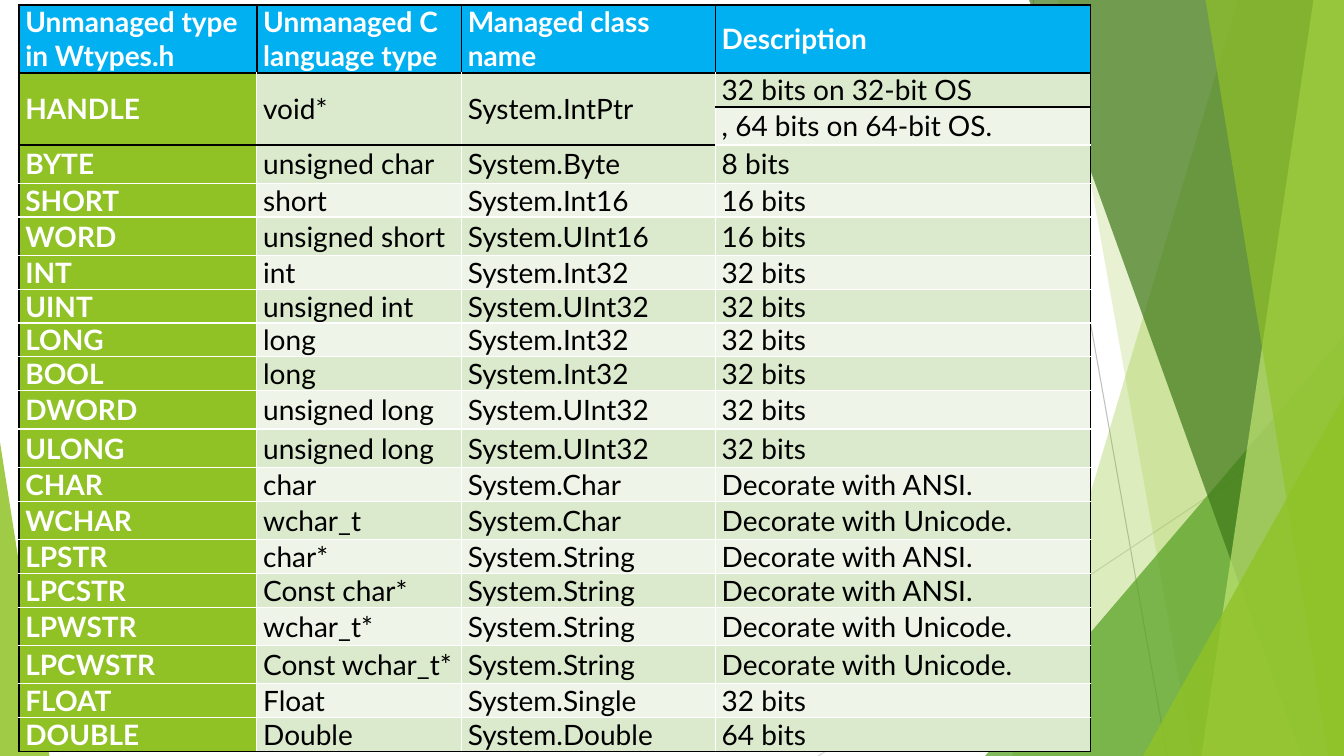
from dataclasses import dataclass

from lxml import etree
from pptx import Presentation
from pptx.dml.color import RGBColor
from pptx.enum.shapes import MSO_CONNECTOR, MSO_SHAPE
from pptx.enum.text import MSO_ANCHOR
from pptx.oxml.ns import qn
from pptx.util import Pt

STRAIGHT = MSO_CONNECTOR.STRAIGHT
TRIANGLE = MSO_SHAPE.ISOSCELES_TRIANGLE
MIDDLE = MSO_ANCHOR.MIDDLE


@dataclass(frozen=True)
class Theme:
    font: str = "Lato"
    size: float = 20
    white: str = "FFFFFF"
    black: str = "000000"
    header: str = "00B0F0"
    green: str = "90C226"
    leaf: str = "54A021"
    forest: str = "3F7819"
    lime: str = "C0E474"
    band_dark: str = "DBE9CD"
    band_light: str = "EEF4E8"
    line_dark: str = "BFBFBF"
    line_light: str = "D9D9D9"
    thin: float = 1
    thick: float = 1.5
    hairline: float = 0.75


@dataclass(frozen=True)
class Box:
    left: float
    top: float
    width: float
    height: float


THEME = Theme()
PAGE = Box(0, 0, 960, 540)
TABLE = Box(13.6, 3.6, 765.4, 532)
COLUMN_WIDTHS = (169.9, 146.2, 181.4, 267.9)
HEADER_HEIGHT, TALL_ROW, SHORT_ROW = 48.4, 27.4, 24
TALL_ROWS = {2, 3, 5, 10, 11, 13, 16, 17}
HANDLE_ROW = 1  # the first three cells span this row and the next

TYPE_ROWS = (
    ("Unmanaged type in Wtypes.h", "Unmanaged C language type",
     "Managed class name", "Description"),
    ("HANDLE", "void*", "System.IntPtr", "32 bits on 32-bit OS"),
    ("", "", "", ", 64 bits on 64-bit OS."),
    ("BYTE", "unsigned char", "System.Byte", "8 bits"),
    ("SHORT", "short", "System.Int16", "16 bits"),
    ("WORD", "unsigned short", "System.UInt16", "16 bits"),
    ("INT", "int", "System.Int32", "32 bits"),
    ("UINT", "unsigned int", "System.UInt32", "32 bits"),
    ("LONG", "long", "System.Int32", "32 bits"),
    ("BOOL", "long", "System.Int32", "32 bits"),
    ("DWORD", "unsigned long", "System.UInt32", "32 bits"),
    ("ULONG", "unsigned long", "System.UInt32", "32 bits"),
    ("CHAR", "char", "System.Char", "Decorate with ANSI."),
    ("WCHAR", "wchar_t", "System.Char", "Decorate with Unicode."),
    ("LPSTR", "char*", "System.String", "Decorate with ANSI."),
    ("LPCSTR", "Const char*", "System.String", "Decorate with ANSI."),
    ("LPWSTR", "wchar_t*", "System.String", "Decorate with Unicode."),
    ("LPCWSTR", "Const wchar_t*", "System.String", "Decorate with Unicode."),
    ("FLOAT", "Float", "System.Single", "32 bits"),
    ("DOUBLE", "Double", "System.Double", "64 bits"),
)
LAST_ROW, LAST_COLUMN = len(TYPE_ROWS) - 1, len(COLUMN_WIDTHS) - 1


def paint(shape, color, opacity):
    shape.shadow.inherit = False
    shape.fill.solid()
    shape.fill.fore_color.rgb = RGBColor.from_string(color)
    shape.line.fill.background()
    tint = shape.fill._xPr.find(".//" + qn("a:srgbClr"))
    etree.SubElement(tint, qn("a:alpha")).set("val", str(opacity * 1000))


def add_ray(page, box, start, end, color):
    ray = page.shapes.add_connector(
        STRAIGHT, Pt(box.left + start[0]), Pt(box.top + start[1]),
        Pt(box.left + end[0]), Pt(box.top + end[1]))
    ray.line.color.rgb = RGBColor.from_string(color)
    ray.line.width = Pt(THEME.hairline)
    etree.SubElement(ray._element.spPr, qn("a:effectLst"))


def add_slant(page, box, top_x, bottom_x, color, opacity):
    """Fill the area between a slanted edge and the right side of the box."""
    top, bottom = Pt(box.top), Pt(box.top + box.height)
    right = Pt(box.left + box.width)
    builder = page.shapes.build_freeform(Pt(box.left + top_x), top)
    builder.add_line_segments(
        [(right, top), (right, bottom), (Pt(box.left + bottom_x), bottom)])
    paint(builder.convert_to_shape(), color, opacity)


def add_corner(page, box, left, top, width, apex, color, opacity):
    """Add a right triangle that stands on the bottom of the box."""
    corner = page.shapes.add_shape(
        TRIANGLE, Pt(box.left + left), Pt(box.top + top),
        Pt(width), Pt(box.height - top))
    corner.adjustments[0] = apex
    paint(corner, color, opacity)


def draw_facets(page, box):
    # Fine lines
    add_ray(page, box, (738, 0), (833.8, 540), THEME.line_dark)
    add_ray(page, box, (960, 290), (584.6, 540), THEME.line_light)
    # Translucent facets, from back to front
    add_slant(page, box, 884.2, 722.9, THEME.green, 30)
    add_slant(page, box, 756, 851.8, THEME.green, 20)
    add_corner(page, box, 703.7, 239.8, 256.3, 1, THEME.leaf, 72)
    add_slant(page, box, 735.1, 929.5, THEME.forest, 70)
    add_slant(page, box, 938.2, 858.2, THEME.lime, 70)
    add_slant(page, box, 861.1, 949, THEME.green, 65)
    add_corner(page, box, 816.5, 283, 143.5, 1, THEME.green, 80)
    add_corner(page, box, 0, 316, 35.3, 0, THEME.green, 85)


def cell_edges(row, column):
    """Give the colour and width of the left, right, top and bottom edges."""
    heavy = (THEME.black, THEME.thick)
    outer, inner = (THEME.black, THEME.thin), (THEME.white, THEME.thin)
    if row == 0:
        return dict.fromkeys("LRTB", heavy)
    # The black rule steps up by one row in the description column
    rule_row = HANDLE_ROW if column == LAST_COLUMN else HANDLE_ROW + 1
    spanned = column < LAST_COLUMN and row == HANDLE_ROW
    bottom = outer if row == LAST_ROW else inner
    return {
        "L": outer if column == 0 else inner,
        "R": outer if column == LAST_COLUMN else inner,
        "T": heavy if row in (1, rule_row + 1) else inner,
        "B": heavy if row == rule_row or spanned else bottom,
    }


def draw_edges(cell, edges):
    properties = cell._tc.get_or_add_tcPr()
    for side, (color, width) in edges.items():
        edge = etree.SubElement(properties, qn("a:ln" + side))
        edge.set("w", str(Pt(width)))
        fill = etree.SubElement(edge, qn("a:solidFill"))
        etree.SubElement(fill, qn("a:srgbClr")).set("val", color)


def cell_fill(row, column):
    if row == 0:
        return THEME.header
    if column == 0:
        return THEME.green
    return THEME.band_dark if row % 2 else THEME.band_light


def fill_cell(cell, row, column):
    draw_edges(cell, cell_edges(row, column))
    cell.fill.solid()
    cell.fill.fore_color.rgb = RGBColor.from_string(cell_fill(row, column))
    cell.vertical_anchor = MIDDLE
    cell.margin_left = cell.margin_right = Pt(4.5)
    cell.margin_top = cell.margin_bottom = 0
    cell.text_frame.text = TYPE_ROWS[row][column]
    heading = row == 0 or column == 0
    for span in cell.text_frame.paragraphs[0].runs:
        span.font.name = THEME.font
        span.font.size = Pt(THEME.size)
        span.font.bold = heading
        span.font.color.rgb = RGBColor.from_string(
            THEME.white if heading else THEME.black)


def draw_type_table(page, box):
    table = page.shapes.add_table(
        len(TYPE_ROWS), len(COLUMN_WIDTHS), Pt(box.left), Pt(box.top),
        Pt(box.width), Pt(box.height)).table
    table.horz_banding = False
    for column, width in enumerate(COLUMN_WIDTHS):
        table.columns[column].width = Pt(width)
    for row in range(len(TYPE_ROWS)):
        height = TALL_ROW if row in TALL_ROWS else SHORT_ROW
        table.rows[row].height = Pt(height if row else HEADER_HEIGHT)
        for column in range(len(COLUMN_WIDTHS)):
            fill_cell(table.cell(row, column), row, column)
    for column in range(LAST_COLUMN):
        table.cell(HANDLE_ROW, column).merge(table.cell(HANDLE_ROW + 1, column))


def main():
    deck = Presentation()
    deck.slide_width, deck.slide_height = Pt(PAGE.width), Pt(PAGE.height)
    page = deck.slides.add_slide(deck.slide_layouts[6])
    draw_facets(page, PAGE)
    draw_type_table(page, TABLE)
    deck.save("out.pptx")


if __name__ == "__main__":
    main()
